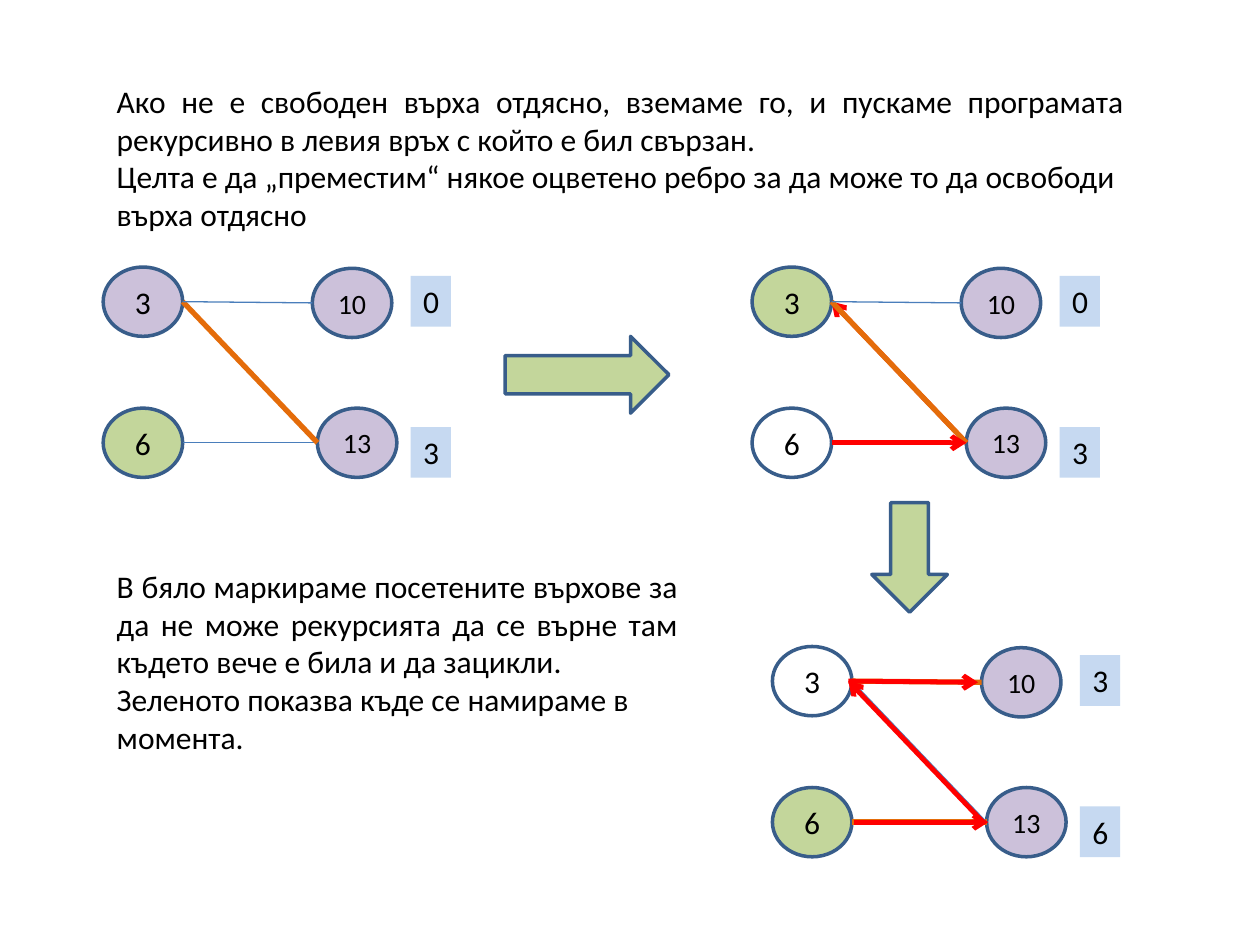
from lxml import etree
from pptx import Presentation
from pptx import util as u
from pptx.dml.color import RGBColor
from pptx.enum import shapes, text
from pptx.oxml.ns import qn

COLORS = {
    "ink": "000000", "outline": "385D8A", "label": "C6D9F1",
    "free": "CCC1DA", "current": "C3D69B", "visited": "FFFFFF",
    "thin": "4A7EBB", "matched": "E46C0A", "path": "FF0000",
}
EDGE_WIDTHS = {"thin": 0.75, "matched": 3, "path": 2.75}

# Offsets inside a graph, in points
NODE_W, NODE_H = 45.4, 39.6
NODES = {"3": (0, 0), "10": (119.5, 0.7), "6": (0, 80.6), "13": (122.4, 80.6)}
LABEL_X, LABEL_W, LABEL_H = 175.7, 23, 29
LABEL_TOPS = (5, 91.4)


def rgb(name):
    return RGBColor.from_string(COLORS[name])


def write(frame, *paragraphs, size=18, aligns=(text.PP_ALIGN.LEFT,),
          anchor=text.MSO_ANCHOR.TOP, wrap=True, autosize=text.MSO_AUTO_SIZE.NONE):
    frame.word_wrap = wrap
    frame.auto_size = autosize
    frame.vertical_anchor = anchor
    for i, (words, align) in enumerate(zip(paragraphs, aligns)):
        paragraph = frame.paragraphs[0] if i == 0 else frame.add_paragraph()
        paragraph.alignment = align
        run = paragraph.add_run()
        run.text = words
        run.font.name = "Calibri"
        run.font.size = u.Pt(size)
        run.font.color.rgb = rgb("ink")


class Board:
    """Draws on one slide; all lengths are in points."""

    def __init__(self, slide):
        self.slide = slide

    def box(self, x, y, w, h):
        return self.slide.shapes.add_textbox(*map(u.Pt, (x, y, w, h)))

    def prose(self, x, y, w, h, *paragraphs):
        write(self.box(x, y, w, h).text_frame, *paragraphs,
              aligns=(text.PP_ALIGN.JUSTIFY, text.PP_ALIGN.LEFT))

    def label(self, x, y, words):
        label = self.box(x, y, LABEL_W, LABEL_H)
        label.fill.solid()
        label.fill.fore_color.rgb = rgb("label")
        write(label.text_frame, words, wrap=False,
              autosize=text.MSO_AUTO_SIZE.SHAPE_TO_FIT_TEXT)

    def shape(self, kind, x, y, w, h, fill):
        shape = self.slide.shapes.add_shape(kind, *map(u.Pt, (x, y, w, h)))
        shape.shadow.inherit = False
        shape.fill.solid()
        shape.fill.fore_color.rgb = rgb(fill)
        shape.line.color.rgb = rgb("outline")
        shape.line.width = u.Pt(2)
        return shape

    def node(self, x, y, name, fill):
        node = self.shape(shapes.MSO_SHAPE.OVAL, x, y, NODE_W, NODE_H, fill)
        write(node.text_frame, name, size=18 if len(name) == 1 else 16,
              aligns=(text.PP_ALIGN.CENTER,), anchor=text.MSO_ANCHOR.MIDDLE)

    def edge(self, start, end, kind):
        edge = self.slide.shapes.add_connector(
            shapes.MSO_CONNECTOR.STRAIGHT, *map(u.Pt, (*start, *end)))
        edge.line.color.rgb = rgb(kind)
        edge.line.width = u.Pt(EDGE_WIDTHS[kind])
        if kind == "path":
            etree.SubElement(edge.line._get_or_add_ln(), qn("a:tailEnd"), type="arrow")
        etree.SubElement(edge._element.spPr, qn("a:effectLst"))

    def graph(self, x, y, left_fills, labels, edges):
        """Two left and two right nodes; an edge is start, end, kind, x shift."""
        fills = {"3": left_fills[0], "6": left_fills[1]}
        for name, (dx, dy) in NODES.items():
            self.node(x + dx, y + dy, name, fills.get(name, "free"))
        for top, words in zip(LABEL_TOPS, labels):
            self.label(x + LABEL_X, y + top, words)

        def port(name, shift):
            dx, dy = NODES[name]
            inner = NODE_W if name in fills else 0
            return x + dx + inner + shift, y + dy + NODE_H / 2

        for start, end, kind, shift in edges:
            self.edge(port(start, shift), port(end, shift), kind)


def main():
    deck = Presentation()
    deck.slide_width, deck.slide_height = u.Pt(720), u.Pt(540)
    board = Board(deck.slides.add_slide(deck.slide_layouts[6]))

    board.prose(
        59.6, 43.2, 589.7, 93.6,
        "Ако не е свободен върха отдясно, вземаме го, и пускаме програмата "
        "рекурсивно в левия връх с който е бил свързан.",
        "Целта е да „преместим“ някое оцветено ребро за да може то да освободи "
        "върха отдясно")
    board.prose(
        59.6, 320.4, 334.8, 115.2,
        "В бяло маркираме посетените върхове за да не може рекурсията да се "
        "върне там където вече е била и да зацикли.",
        "Зеленото показва къде се намираме в момента.")

    board.shape(shapes.MSO_SHAPE.RIGHT_ARROW, 288.7, 192.2, 93.6, 43.9, "current")
    board.shape(shapes.MSO_SHAPE.DOWN_ARROW, 498.2, 287.3, 43.2, 62.6, "current")

    board.graph(59, 152.6, ("free", "current"), "03", [
        ("6", "13", "thin", 0), ("3", "13", "matched", 0), ("3", "10", "thin", 0)])
    board.graph(429.8, 152.6, ("current", "visited"), "03", [
        ("13", "3", "path", 0), ("6", "13", "thin", 0), ("3", "13", "matched", 0),
        ("3", "10", "thin", 0), ("6", "13", "path", 0)])
    board.graph(441.4, 369.4, ("visited", "current"), "36", [
        ("6", "13", "matched", 0), ("3", "13", "thin", 0), ("3", "10", "matched", 0),
        ("6", "13", "path", 1), ("13", "3", "path", -2), ("3", "10", "path", -2)])

    deck.save("out.pptx")


if __name__ == "__main__":
    main()
